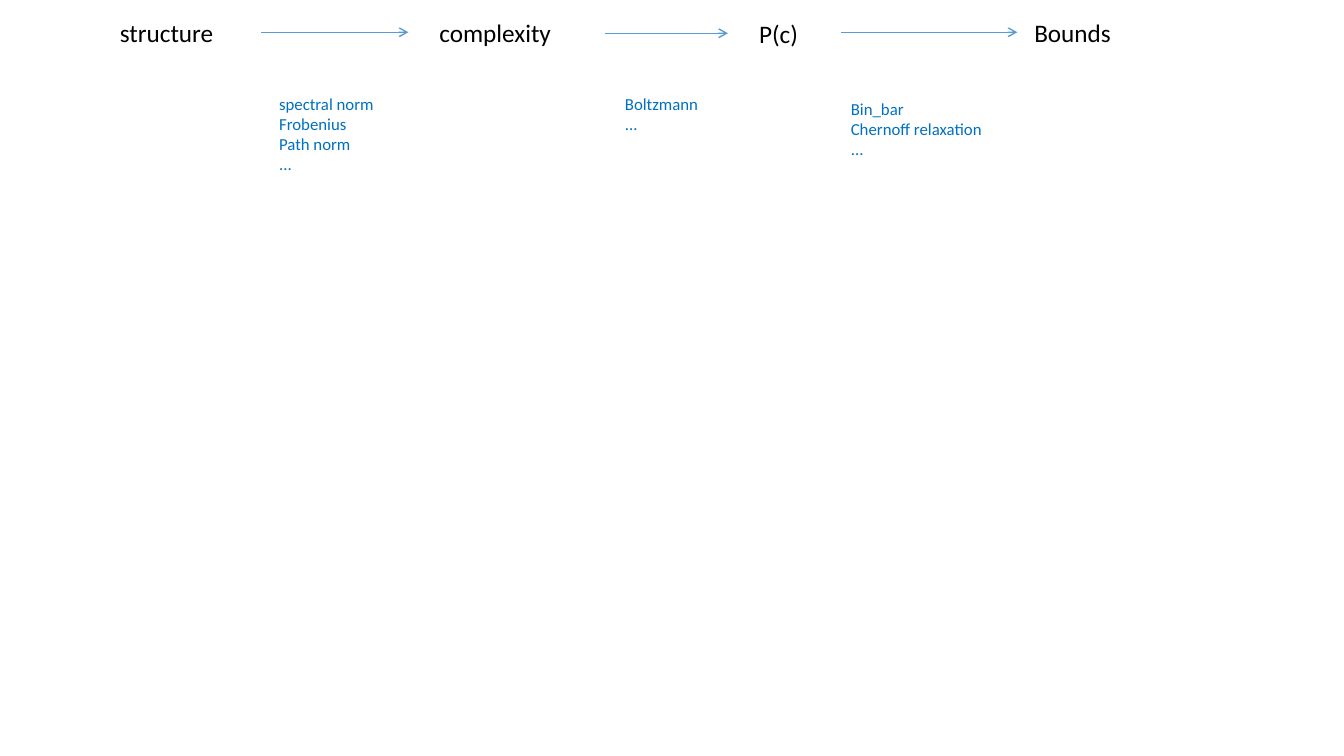
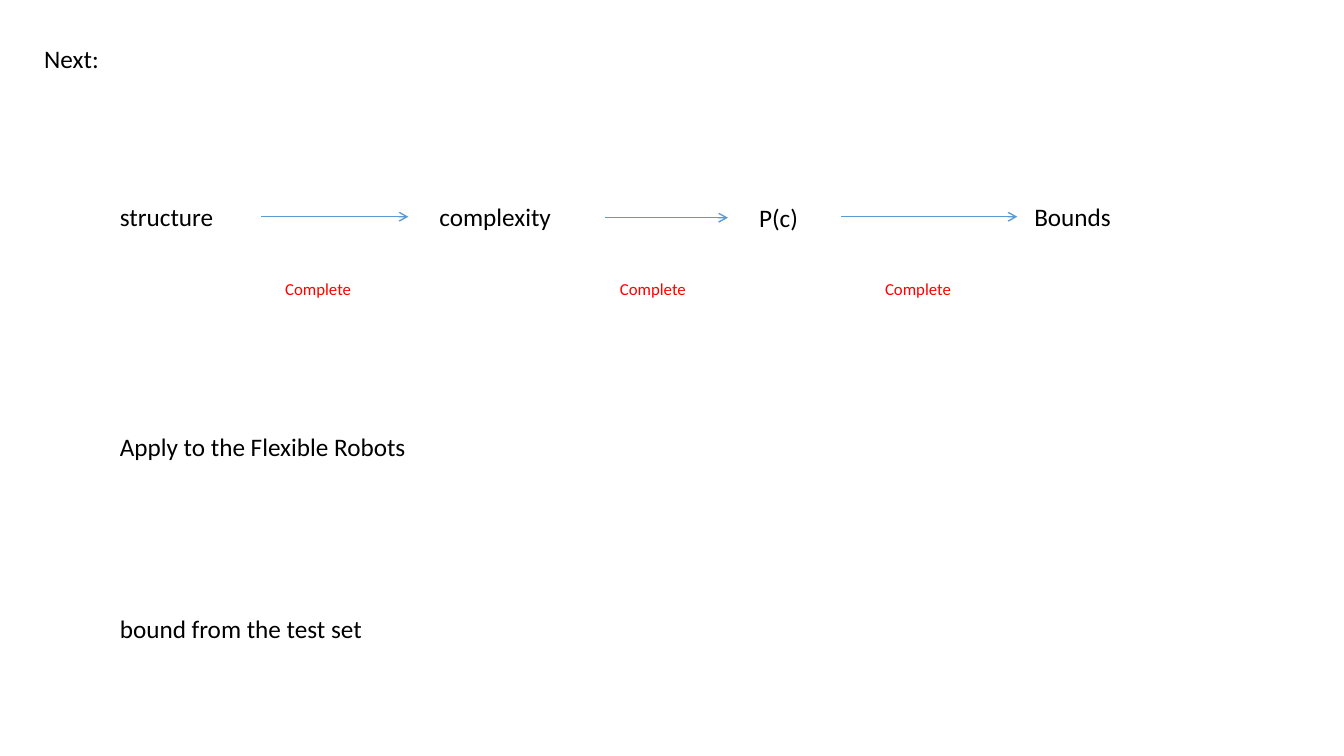
from lxml import etree
from pptx import Presentation
from pptx import util as u
from pptx.dml.color import RGBColor
from pptx.enum import shapes, text
from pptx.oxml import ns

PX = 9144  # 100 px to the inch
BLACK = RGBColor(0x00, 0x00, 0x00)
BLUE = RGBColor(0x00, 0x70, 0xC0)
RED = RGBColor(0xFF, 0x00, 0x00)
ARROW_BLUE = RGBColor(0x5B, 0x9B, 0xD5)

# Shared formats
STEP = {"name": "Calibri", "size": u.Pt(18)}
NOTE = {"name": "Calibri", "size": u.Pt(12)}
FRAME = {
    "word_wrap": True,
    "auto_size": text.MSO_AUTO_SIZE.NONE,
    "vertical_anchor": text.MSO_ANCHOR.TOP,
}

# The flow: left, offset from its top, width
FLOW_STEPS = [
    ("structure", 109, 0, 141),
    ("complexity", 426, 0, 183),
    ("P(c)", 743, 1, 71),
    ("Bounds", 1016, 0, 207),
]
FLOW_ARROWS = [(259, 20, 405), (600, 21, 722), (834, 20, 1009)]


def add_text(slide, lines, box, font_format, color):
    frame = slide.shapes.add_textbox(*(n * PX for n in box)).text_frame
    for attribute, value in FRAME.items():
        setattr(frame, attribute, value)
    frame.text = "\n".join(lines)
    for paragraph in frame.paragraphs:
        font = paragraph.runs[0].font
        for attribute, value in font_format.items():
            setattr(font, attribute, value)
        font.color.rgb = color


def add_flow(slide, top):
    for step, left, offset, width in FLOW_STEPS:
        add_text(slide, [step], (left, top + offset, width, 40), STEP, BLACK)
    for start, offset, end in FLOW_ARROWS:
        y = (top + offset) * PX
        arrow = slide.shapes.add_connector(
            shapes.MSO_CONNECTOR.STRAIGHT, start * PX, y, end * PX, y)
        arrow.line.color.rgb = ARROW_BLUE
        arrow.line.width = u.Pt(1)
        etree.SubElement(arrow.line._get_or_add_ln(), ns.qn("a:tailEnd"), type="arrow")
        etree.SubElement(arrow._element.spPr, ns.qn("a:effectLst"))


prs = Presentation()
prs.slide_width, prs.slide_height = 1333 * PX, 750 * PX
blank = prs.slide_layouts[6]

# Slide 1: the flow and the options for each arrow
options = prs.slides.add_slide(blank)
add_flow(options, 12)
for lines, box in [
    (["spectral norm", "Frobenius", "Path norm", "..."], (267, 88, 157, 95)),
    (["Boltzmann", "..."], (610, 88, 116, 53)),
    (["Bin_bar", "Chernoff relaxation", "..."], (834, 93, 289, 86)),
]:
    add_text(options, lines, box, NOTE, BLUE)

# Slide 2: the state of the flow and the next tasks
next_steps = prs.slides.add_slide(blank)
add_flow(next_steps, 195)
for left in (273, 605, 868):
    add_text(next_steps, ["Complete"], (left, 272, 157, 95), NOTE, RED)
for line, box in [
    ("Next:", (34, 38, 141, 40)),
    ("Apply to the Flexible Robots", (109, 423, 635, 40)),
    ("bound from the test set", (109, 604, 635, 40)),
]:
    add_text(next_steps, [line], box, STEP, BLACK)

prs.save("out.pptx")
